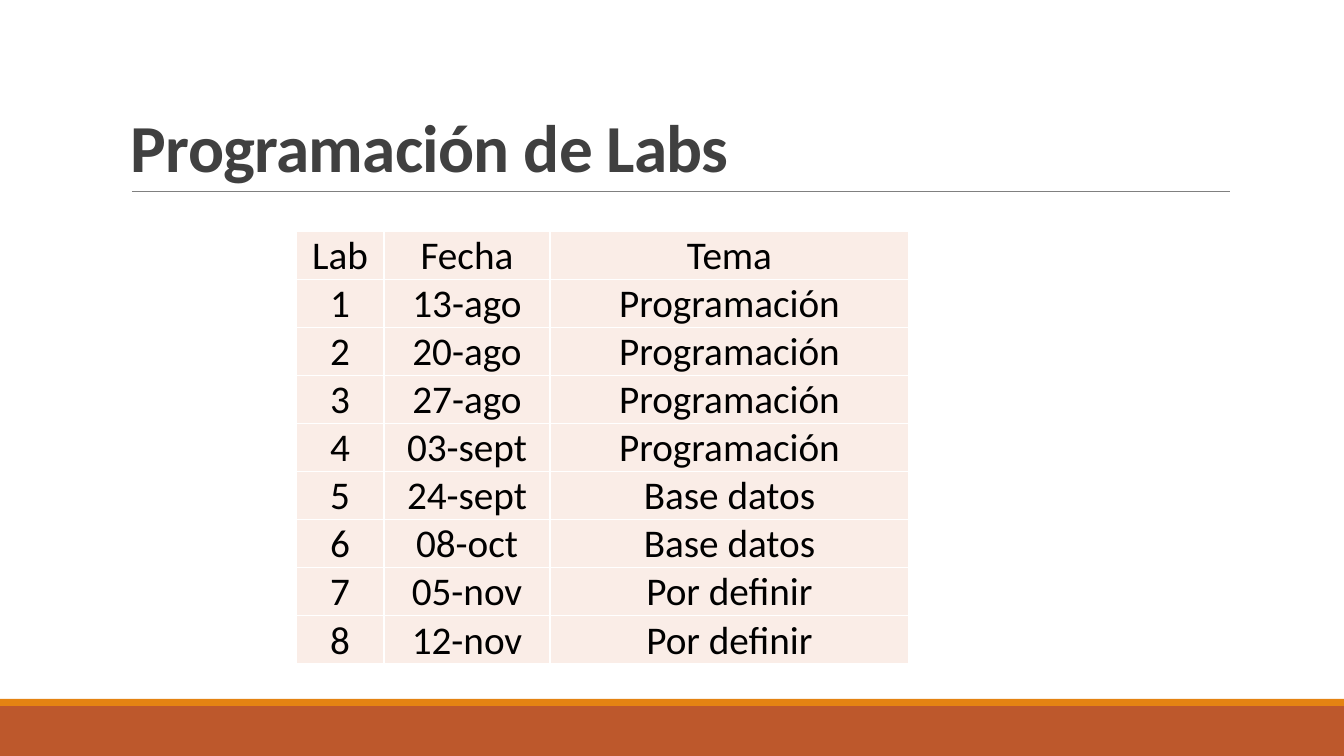
from dataclasses import dataclass

from lxml import etree
from pptx import Presentation
from pptx.dml.color import RGBColor
from pptx.enum.shapes import MSO_CONNECTOR, MSO_SHAPE
from pptx.enum.text import MSO_ANCHOR, PP_ALIGN
from pptx.oxml.ns import qn
from pptx.util import Pt

RECTANGLE = MSO_SHAPE.RECTANGLE
STRAIGHT = MSO_CONNECTOR.STRAIGHT
BOTTOM = MSO_ANCHOR.BOTTOM
LEFT, CENTER = PP_ALIGN.LEFT, PP_ALIGN.CENTER

PAGE_W, PAGE_H = 1344, 756
EMU_PER_PX = 12192000 / PAGE_W

SCHEDULE = [
    ("Lab", "Fecha", "Tema"),
    ("1", "13-ago", "Programación"),
    ("2", "20-ago", "Programación"),
    ("3", "27-ago", "Programación"),
    ("4", "03-sept", "Programación"),
    ("5", "24-sept", "Base datos"),
    ("6", "08-oct", "Base datos"),
    ("7", "05-nov", "Por definir"),
    ("8", "12-nov", "Por definir"),
]


@dataclass(frozen=True)
class Theme:
    font: str = "Calibri"
    title_size: int = 48
    table_size: int = 28
    title: str = "404040"
    text: str = "000000"
    rule: str = "808080"
    band: str = "BD582C"
    accent: str = "E48312"
    cell: str = "FAEDE7"
    border: str = "FFFFFF"


def px(length):
    return round(length * EMU_PER_PX)


class SlideBuilder:
    """Draws themed elements on one slide, with lengths in px."""

    def __init__(self, page, theme):
        self.page = page
        self.theme = theme

    def bar(self, x, y, width, height, color):
        bar = self.page.shapes.add_shape(RECTANGLE, px(x), px(y), px(width), px(height))
        bar.shadow.inherit = False
        bar.fill.solid()
        bar.fill.fore_color.rgb = RGBColor.from_string(color)
        bar.line.fill.background()

    def rule(self, x1, x2, y):
        rule = self.page.shapes.add_connector(STRAIGHT, px(x1), px(y), px(x2), px(y))
        rule.line.color.rgb = RGBColor.from_string(self.theme.rule)
        rule.line.width = Pt(0.5)
        etree.SubElement(rule._element.spPr, qn("a:effectLst"))

    def span(self, para, text, size, color, align, bold=False):
        para.alignment = align
        span = para.add_run()
        span.text = text
        span.font.name = self.theme.font
        span.font.size = Pt(size)
        span.font.bold = bold
        span.font.color.rgb = RGBColor.from_string(color)
        return span

    def title(self, text, x, y, width, height):
        box = self.page.shapes.add_textbox(px(x), px(y), px(width), px(height))
        frame = box.text_frame
        frame.word_wrap = True
        frame.vertical_anchor = BOTTOM
        para = frame.paragraphs[0]
        para.line_spacing = 0.85
        span = self.span(para, text, self.theme.title_size, self.theme.title, LEFT, True)
        span.font._element.set("spc", "-50")

    def border(self, cell):
        properties = cell._tc.get_or_add_tcPr()
        for index, side in enumerate(("a:lnL", "a:lnR", "a:lnT", "a:lnB")):
            line = etree.Element(qn(side), w=str(Pt(1)))
            fill = etree.SubElement(line, qn("a:solidFill"))
            etree.SubElement(fill, qn("a:srgbClr"), val=self.theme.border)
            properties.insert(index, line)

    def cell(self, cell, text):
        cell.fill.solid()
        cell.fill.fore_color.rgb = RGBColor.from_string(self.theme.cell)
        cell.vertical_anchor = BOTTOM
        cell.margin_left = cell.margin_right = cell.margin_top = px(1)
        cell.margin_bottom = 0
        para = cell.text_frame.paragraphs[0]
        self.span(para, text, self.theme.table_size, self.theme.text, CENTER)
        self.border(cell)

    def table(self, rows, x, y, widths, row_height):
        frame = self.page.shapes.add_table(
            len(rows), len(widths), px(x), px(y), px(sum(widths)), px(row_height * len(rows))
        )
        table = frame.table
        table.first_row = False
        table.horz_banding = False
        for column, width in zip(table.columns, widths):
            column.width = px(width)
        for row, texts in zip(table.rows, rows):
            row.height = px(row_height)
            for cell, text in zip(row.cells, texts):
                self.cell(cell, text)


def main():
    deck = Presentation()
    deck.slide_width, deck.slide_height = px(PAGE_W), px(PAGE_H)
    page = deck.slides.add_slide(deck.slide_layouts[6])
    theme = Theme()
    builder = SlideBuilder(page, theme)
    builder.bar(0, 706, PAGE_W, 50, theme.band)
    builder.bar(0, 699, PAGE_W, 7, theme.accent)
    builder.rule(132, 1230, 191)
    builder.title("Programación de Labs", 121, 31, 1109, 160)
    builder.table(SCHEDULE, 296, 231, (88, 166, 359), 48)
    deck.save("out.pptx")


if __name__ == "__main__":
    main()
